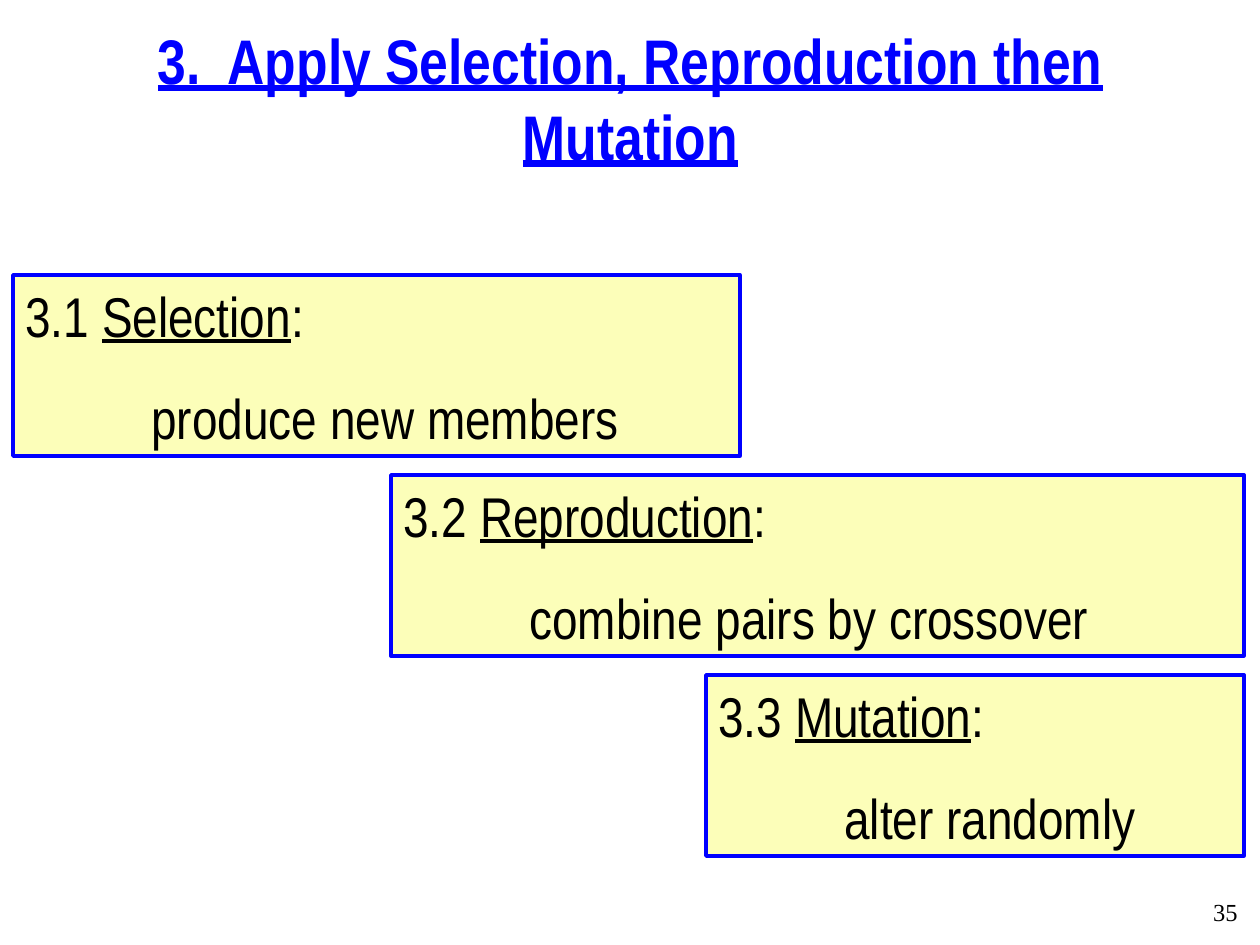
import pptx
import pptx.util
import pptx.dml.color
import pptx.enum.shapes
import pptx.enum.text

SCALE = 914400 / 126
HUES = {"blue": "0000FF", "cream": "FCFEB9", "black": "000000"}
ALIGN = pptx.enum.text.PP_ALIGN
ANCHOR = pptx.enum.text.MSO_ANCHOR
FIT = pptx.enum.text.MSO_AUTO_SIZE


def px(num):
    return pptx.util.Emu(round(num * SCALE))


def hue(name):
    return pptx.dml.color.RGBColor.from_string(HUES[name])


def write(para, text, size=32, font="Arial Narrow", color="black",
          bold=False, under=False, align=ALIGN.LEFT):
    para.alignment = align
    run = para.add_run()
    run.text = text
    run.font.size = pptx.util.Pt(size)
    run.font.name = font
    run.font.bold = bold
    run.font.underline = under
    run.font.color.rgb = hue(color)


class Deck:
    indent = 126
    gap = 20
    border = 2

    def __init__(self, width, height):
        self.file = pptx.Presentation()
        self.file.slide_width = px(width)
        self.file.slide_height = px(height)
        self.slide = self.file.slides.add_slide(self.file.slide_layouts[5])

    def frame(self, shape, anchor, fit):
        frame = shape.text_frame
        frame.word_wrap = True
        frame.auto_size = fit
        frame.vertical_anchor = anchor
        return frame

    def title(self, text, left, top, width, height):
        shape = self.slide.shapes.title
        shape.left, shape.top = px(left), px(top)
        shape.width, shape.height = px(width), px(height)
        frame = self.frame(shape, ANCHOR.BOTTOM, FIT.NONE)
        write(frame.paragraphs[0], text, size=36, color="blue",
              bold=True, under=True, align=ALIGN.CENTER)

    def number(self, text, left, top, width, height):
        shape = self.slide.shapes.add_textbox(
            px(left), px(top), px(width), px(height))
        frame = self.frame(shape, ANCHOR.TOP, FIT.SHAPE_TO_FIT_TEXT)
        write(frame.paragraphs[0], text, size=14, font="Times New Roman",
              align=ALIGN.RIGHT)

    def step(self, label, name, detail, left, top, width, height):
        shape = self.slide.shapes.add_shape(
            pptx.enum.shapes.MSO_SHAPE.RECTANGLE,
            px(left), px(top), px(width), px(height))
        shape.shadow.inherit = False
        shape.fill.solid()
        shape.fill.fore_color.rgb = hue("cream")
        shape.line.color.rgb = hue("blue")
        shape.line.width = pptx.util.Pt(self.border)
        frame = self.frame(shape, ANCHOR.TOP, FIT.SHAPE_TO_FIT_TEXT)
        head, body = frame.paragraphs[0], frame.add_paragraph()
        for para in (head, body):
            para.space_before = pptx.util.Pt(self.gap)
        write(head, label + " ")
        write(head, name, under=True)
        write(head, ":")
        body._p.get_or_add_pPr().set("marL", str(px(self.indent)))
        write(body, detail)

    def save(self):
        self.file.save("out.pptx")


def main():
    deck = Deck(1260, 945)
    deck.number("35", 872, 891, 378, 42)
    deck.title("3.  Apply Selection, Reproduction then Mutation",
               32, 79, 1197, 100)
    steps = [
        ("Selection", "produce new members", 13, 727),
        ("Reproduction", "combine pairs by crossover", 391, 853),
        ("Mutation", "alter randomly", 706, 538),
    ]
    for i, (name, detail, left, width) in enumerate(steps):
        deck.step(f"3.{i + 1}", name, detail, left, 275 + 200 * i, width, 181)
    deck.save()


if __name__ == "__main__":
    main()
